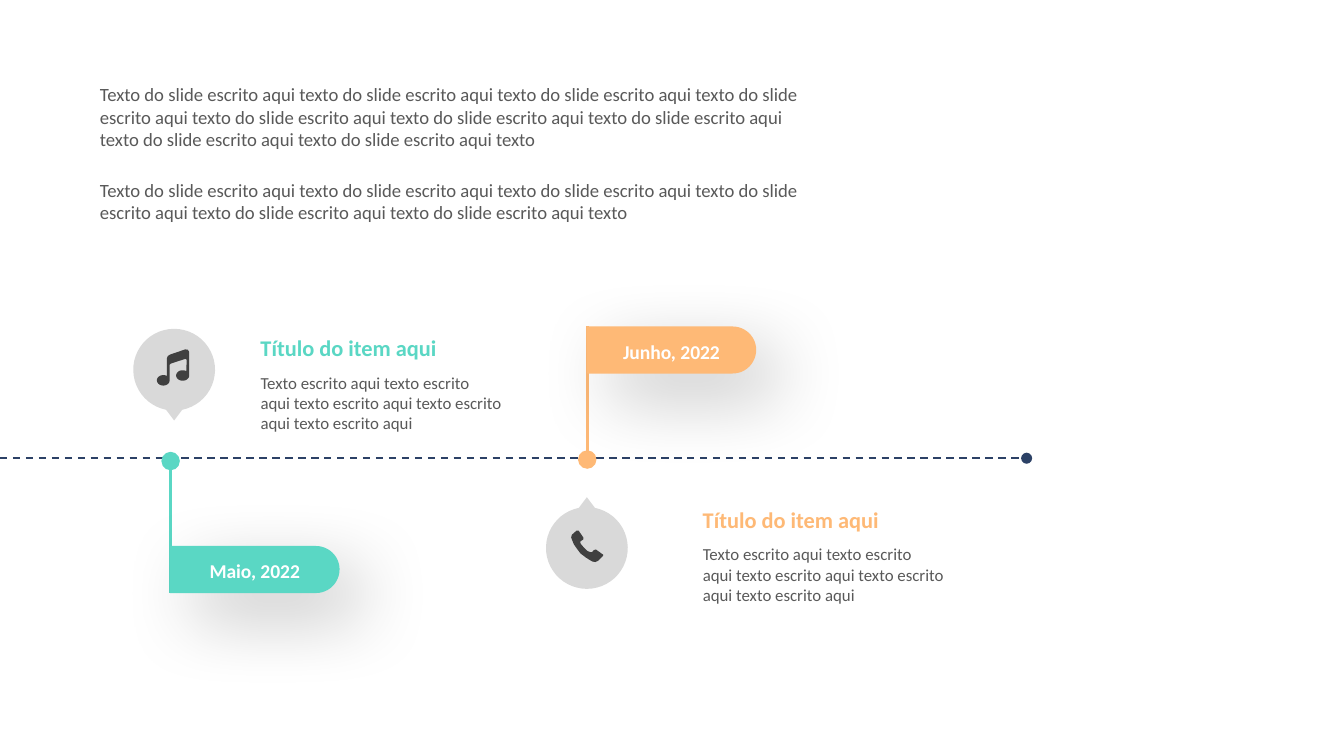
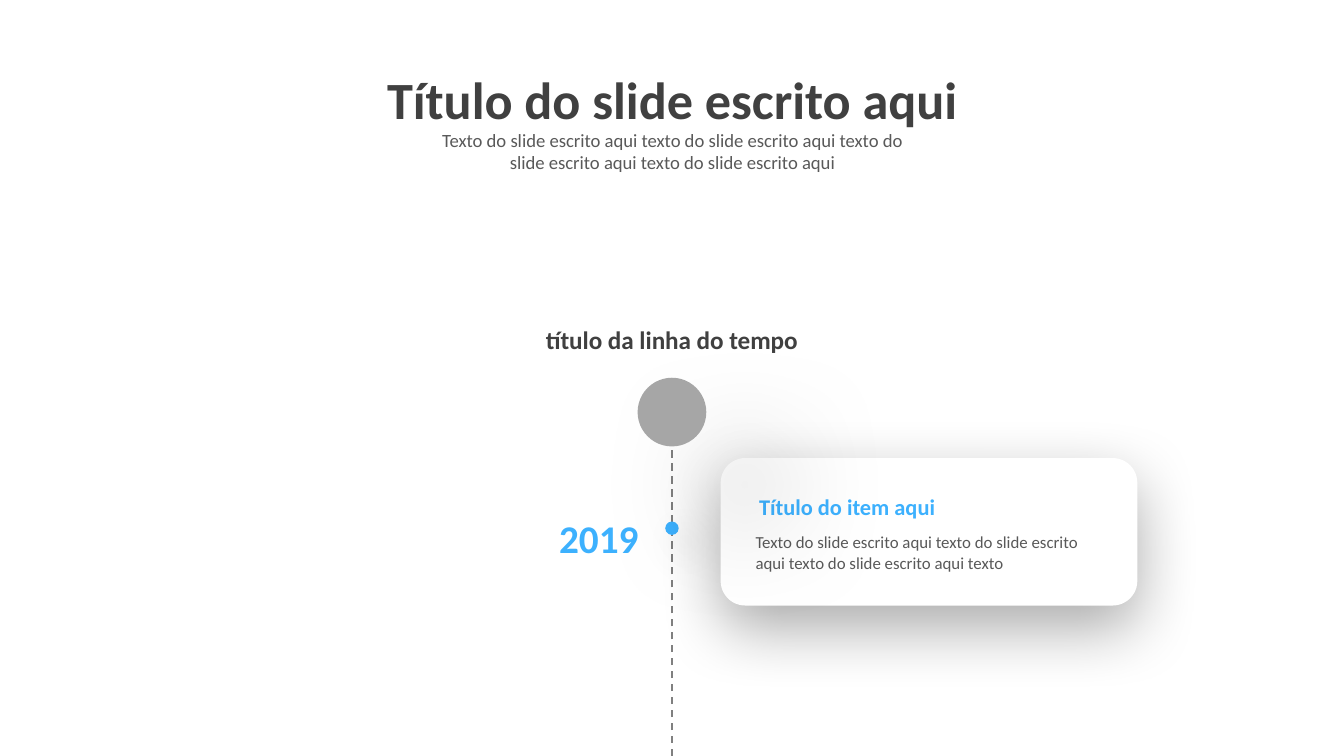
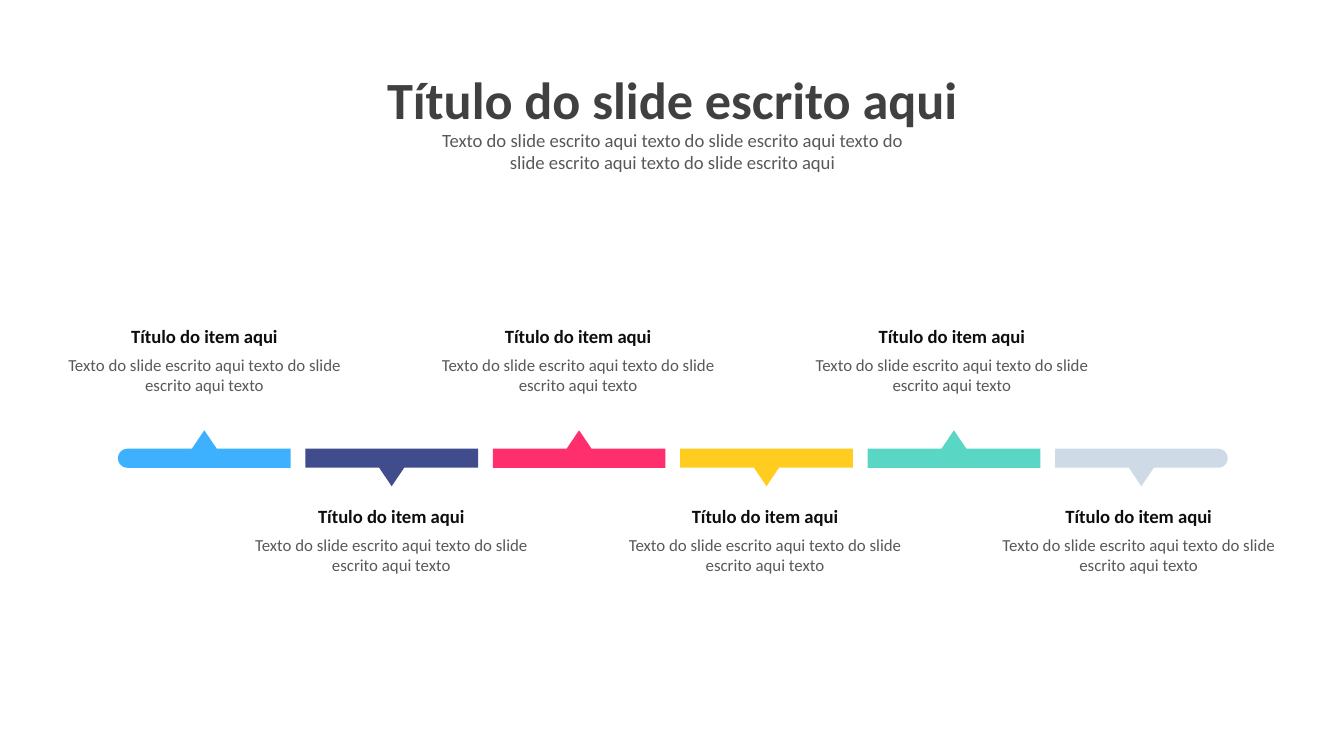
"""Build three timeline slides: dated milestones, a vertical year line and a segmented bar."""
from dataclasses import dataclass
from math import asin, cos, degrees, radians, sin
from typing import NamedTuple

from pptx import Presentation
from pptx.dml.color import RGBColor
from pptx.enum.dml import MSO_LINE
from pptx.enum.shapes import MSO_CONNECTOR, MSO_SHAPE
from pptx.enum.text import PP_ALIGN as Align
from pptx.oxml import parse_xml
from pptx.oxml.ns import nsdecls, qn
from pptx.shapes.autoshape import Shape
from pptx.slide import Slide
from pptx.util import Pt


@dataclass(frozen=True)
class Theme:
    font: str = "Calibri"
    white: str = "FFFFFF"
    heading: str = "404040"
    body: str = "595959"
    strong: str = "0D0D0D"
    axis: str = "2C4166"
    year_axis: str = "808080"
    year_knob: str = "A6A6A6"
    pin: str = "D9D9D9"
    teal: str = "5AD7C4"
    orange: str = "FEB976"
    blue: str = "3DB1FE"
    indigo: str = "414C8C"
    pink: str = "FF2F6E"
    yellow: str = "FFCC1F"
    mist: str = "CEDBE6"
    title_size: float = 28
    year_size: float = 21
    caption_size: float = 13.5
    item_size: float = 12
    date_size: float = 10.5
    body_size: float = 10
    small_size: float = 9


class Point(NamedTuple):
    x: float
    y: float


class Box(NamedTuple):
    left: float
    top: float
    width: float
    height: float


class Shadow(NamedTuple):
    opacity: int
    blur: float
    distance: float
    angle: int


class Milestone(NamedTuple):
    date: str
    color: str
    banner: Point
    pole_start: float
    dot: float
    pin: Point
    pin_side: int
    item: Point


class Segment(NamedTuple):
    color: str
    side: int
    round_left: bool = False
    round_right: bool = False


THEME = Theme()
TIGHT = (5, 2.9)
ITEM_TITLE = "Título do item aqui"
PHRASE = "texto do slide escrito aqui "

BANNER_WIDTH, BANNER_HEIGHT = 90.7, 25.2
BANNER_SHADOW = Shadow(23, 40, 18, 45)
PIN_RADIUS, PIN_REACH, PIN_HALF_NECK = 21.9, 27.2, 4.3
MILESTONES = (
    Milestone("Junho, 2022", THEME.orange, Point(314.4, 174.9), 174.9, 246.2,
              Point(314.4, 293.6), -1, Point(369.4, 267.8)),
    Milestone("Maio, 2022", THEME.teal, Point(91.2, 292.5), 317.5, 247,
              Point(93.3, 198.1), 1, Point(132.5, 175.7)),
)

SEGMENTS = (
    Segment(THEME.blue, -1, round_left=True),
    Segment(THEME.indigo, 1),
    Segment(THEME.pink, -1),
    Segment(THEME.yellow, 1),
    Segment(THEME.teal, -1),
    Segment(THEME.mist, 1, round_right=True),
)
SEGMENT_LEFT, SEGMENT_STEP, SEGMENT_WIDTH = 63.2, 100.4, 92.5
SEGMENT_TOP, SEGMENT_HEIGHT = 240.4, 10.2
LABEL_CENTER, LABEL_STEP = 109.5, 100.1


def phrases(count: int, ending: str = "") -> str:
    """Repeat the sample phrase as one sentence with an optional ending."""
    return (PHRASE * count + ending).strip().capitalize()


def arc(center: Point, rx: float, ry: float, start: float, end: float) -> list[Point]:
    """Return points along an elliptical arc, with angles in degrees clockwise from the right."""
    steps = 48
    angles = [radians(start + (end - start) * step / steps) for step in range(steps + 1)]
    return [Point(center.x + rx * cos(a), center.y + ry * sin(a)) for a in angles]


def paint(shape: Shape, color: str, shadow: Shadow | None = None) -> None:
    """Fill a shape without outline and give it only the stated shadow."""
    shape.fill.solid()
    shape.fill.fore_color.rgb = RGBColor.from_string(color)
    shape.line.fill.background()
    shape.shadow.inherit = False
    if shadow:
        effects = shape.element.spPr.find(qn("a:effectLst"))
        effects.append(parse_xml(
            f'<a:outerShdw {nsdecls("a")} blurRad="{Pt(shadow.blur)}" dist="{Pt(shadow.distance)}" '
            f'dir="{shadow.angle * 60000}" algn="ctr" rotWithShape="0"><a:srgbClr val="000000">'
            f'<a:alpha val="{shadow.opacity * 1000}"/></a:srgbClr></a:outerShdw>'))


def add_preset(slide: Slide, kind: MSO_SHAPE, box: Box, color: str,
               shadow: Shadow | None = None) -> Shape:
    """Draw a filled preset shape."""
    shape = slide.shapes.add_shape(kind, *map(Pt, box))
    paint(shape, color, shadow)
    return shape


def add_outline(slide: Slide, points: list[Point], color: str,
                origin: Point = Point(0, 0)) -> None:
    """Draw a closed filled outline, its points counted from the origin."""
    first, *others = [(Pt(origin.x + x), Pt(origin.y + y)) for x, y in points]
    builder = slide.shapes.build_freeform(*first)
    builder.add_line_segments(others, close=True)
    paint(builder.convert_to_shape(), color)


def add_line(slide: Slide, start: Point, end: Point, color: str, *, width: float = 1,
             dashed: bool = False, knob: str = "med") -> None:
    """Draw a straight line that ends in a round knob."""
    connector = slide.shapes.add_connector(MSO_CONNECTOR.STRAIGHT, *map(Pt, (*start, *end)))
    connector.line.color.rgb = RGBColor.from_string(color)
    connector.line.width = Pt(width)
    if dashed:
        connector.line.dash_style = MSO_LINE.DASH
    properties = connector.element.spPr
    properties.find(qn("a:ln")).append(
        parse_xml(f'<a:tailEnd {nsdecls("a")} type="oval" w="{knob}" len="{knob}"/>'))
    properties.append(parse_xml(f'<a:effectLst {nsdecls("a")}/>'))


def add_text(slide: Slide, box: Box, content: str, *, size: float, color: str = THEME.body,
             bold: bool = False, align: Align = Align.LEFT, spacing: float | None = None,
             inset: tuple[float, float] = (7.2, 3.6)) -> None:
    """Place one wrapped paragraph in a text box."""
    frame = slide.shapes.add_textbox(*map(Pt, box)).text_frame
    frame.word_wrap = True
    frame.margin_left = frame.margin_right = Pt(inset[0])
    frame.margin_top = frame.margin_bottom = Pt(inset[1])
    paragraph = frame.paragraphs[0]
    paragraph.alignment = align
    if spacing:
        paragraph.line_spacing = spacing
    run = paragraph.add_run()
    run.text = content
    run.font.name = THEME.font
    run.font.size = Pt(size)
    run.font.bold = bold
    run.font.color.rgb = RGBColor.from_string(color)


def add_heading(slide: Slide) -> None:
    """Add the centred slide title and its introduction."""
    add_text(slide, Box(140.8, 32.4, 438.5, 41.4), "Título do slide escrito aqui",
             size=THEME.title_size, color=THEME.heading, bold=True, align=Align.CENTER)
    add_text(slide, Box(223, 65.5, 274.3, 31.7), phrases(4),
             size=THEME.body_size, align=Align.CENTER)


def add_pin(slide: Slide, center: Point, side: int) -> None:
    """Draw a round pin whose tip points up (-1) or down (1)."""
    half_neck = degrees(asin(PIN_HALF_NECK / PIN_RADIUS))
    ring = arc(center, PIN_RADIUS, PIN_RADIUS, side * 90 + half_neck, side * 90 + 360 - half_neck)
    add_outline(slide, [Point(center.x, center.y + side * PIN_REACH), *ring], THEME.pin)


def add_milestone(slide: Slide, stone: Milestone) -> None:
    """Draw a date flag on its pole together with the item text."""
    left, top = stone.banner
    add_line(slide, Point(left + 0.2, stone.pole_start), Point(left + 0.2, stone.dot),
             stone.color, width=1.5, knob="lg")
    shift = (BANNER_WIDTH - BANNER_HEIGHT) / 2
    flag = add_preset(slide, MSO_SHAPE.ROUND_2_SAME_RECTANGLE,
                      Box(left + shift, top - shift, BANNER_HEIGHT, BANNER_WIDTH),
                      stone.color, BANNER_SHADOW)
    flag.rotation = 90
    flag.adjustments[0], flag.adjustments[1] = 0.5, 0
    add_text(slide, Box(left, top + 3.5, BANNER_WIDTH, 20.2), stone.date,
             size=THEME.date_size, color=THEME.white, bold=True, align=Align.CENTER)
    add_text(slide, Box(*stone.item, 117.4, 21.6), ITEM_TITLE,
             size=THEME.item_size, color=stone.color, bold=True)
    add_text(slide, Box(stone.item.x, stone.item.y + 20.2, 143.3, 33.8),
             ("texto escrito aqui " * 5).strip().capitalize(), size=THEME.small_size)


def add_music_icon(slide: Slide, origin: Point) -> None:
    """Draw a pair of beamed notes."""
    left_head = arc(Point(3.3, 16.6), 3.4, 2.8, -55, -360)
    right_head = arc(Point(13.7, 14), 3.5, 2.8, -55, -360)
    beam_top = [Point(15.1, 0), Point(7.2, 2.7), Point(5.8, 3.5), Point(5.3, 4.7)]
    beam_bottom = [Point(6.7, 8.2), Point(7.2, 7.7), Point(15.1, 5.1), Point(15.8, 5.5)]
    add_outline(slide, [*beam_top, *left_head, *beam_bottom, *right_head,
                        Point(17.2, 1.4), Point(16.5, 0.2)], THEME.heading, origin)


def add_phone_icon(slide: Slide, origin: Point) -> None:
    """Draw a telephone handset."""
    handset = (
        (17.3, 13), (16.9, 13.7), (14.4, 16.2), (13, 16.8), (11.5, 16.6), (10.1, 15.8),
        (7.9, 14.4), (5, 12.2), (2.9, 9.4), (1.4, 7.2), (0.4, 4.7), (0, 3.6), (0.4, 2.2),
        (2.9, 0), (4, 0), (6.5, 3.6), (6.5, 4.7), (5, 5.8), (5, 6.8), (5.8, 7.9),
        (7.2, 9.4), (8.6, 10.8), (10.1, 11.5), (11.2, 11.5), (12.2, 10.4), (13.3, 10.1),
    )
    add_outline(slide, [Point(*corner) for corner in handset], THEME.heading, origin)


def add_segment(slide: Slide, index: int, segment: Segment) -> None:
    """Draw one bar of the segmented line with its pointer and label."""
    left, top = SEGMENT_LEFT + index * SEGMENT_STEP, SEGMENT_TOP
    right, bottom = left + SEGMENT_WIDTH, top + SEGMENT_HEIGHT
    middle, radius = (left + right) / 2, SEGMENT_HEIGHT / 2
    edge = top if segment.side < 0 else bottom
    pointer = [Point(middle + segment.side * 6.7, edge),
               Point(middle, edge + segment.side * 9.9),
               Point(middle - segment.side * 6.7, edge)]
    left_end = [Point(left, bottom), Point(left, top)]
    right_end = [Point(right, top), Point(right, bottom)]
    if segment.round_left:
        left_end = arc(Point(left + radius, top + radius), radius, radius, 90, 270)
    if segment.round_right:
        right_end = arc(Point(right - radius, top + radius), radius, radius, -90, 90)
    sides = (left_end, pointer, right_end) if segment.side < 0 else (left_end, right_end, pointer)
    add_outline(slide, [point for side in sides for point in side], segment.color)

    center = LABEL_CENTER + index * LABEL_STEP
    label_top = 170.6 if segment.side < 0 else 267.1
    add_text(slide, Box(center - 83.2, label_top + 15.8, 166.3, 28.8), phrases(2, "texto"),
             size=THEME.small_size, align=Align.CENTER)
    add_text(slide, Box(center - 52.9, label_top, 105.8, 16.6), ITEM_TITLE,
             size=THEME.body_size, color=THEME.strong, bold=True, align=Align.CENTER)


def build_milestones(slide: Slide) -> None:
    """Build the horizontal timeline with two dated flags."""
    for stone in MILESTONES:
        add_pin(slide, stone.pin, stone.pin_side)
    add_line(slide, Point(0, 245.5), Point(550, 245.5), THEME.axis, dashed=True)
    for stone in MILESTONES:
        add_milestone(slide, stone)
    add_music_icon(slide, Point(84.2, 187.2))
    add_phone_icon(slide, Point(306, 284.3))
    for top, height, count in ((41, 43.9, 9), (92.2, 31.7, 6)):
        add_text(slide, Box(46.5, top, 388.8, height), phrases(count, "texto"),
                 size=THEME.body_size)


def build_year_line(slide: Slide) -> None:
    """Build the vertical timeline with one year and its card."""
    add_line(slide, Point(360, 405), Point(360, 217.4), THEME.year_axis, dashed=True)
    add_text(slide, Box(246.2, 164.2, 227.5, 26.6), "título da linha do tempo",
             size=THEME.caption_size, color=THEME.heading, bold=True, align=Align.CENTER,
             spacing=1.4, inset=TIGHT)
    add_preset(slide, MSO_SHAPE.OVAL, Box(356.4, 279.4, 7.2, 7.2), THEME.blue,
               Shadow(23, 20, 10, 45))
    add_preset(slide, MSO_SHAPE.ROUNDED_RECTANGLE, Box(386.1, 245.4, 223.2, 79), THEME.white,
               Shadow(32, 35, 12, 90))
    add_text(slide, Box(399.8, 282.2, 196.6, 27.4), phrases(3, "texto"),
             size=THEME.small_size, inset=TIGHT)
    add_text(slide, Box(399.6, 254.9, 196.6, 25.9), ITEM_TITLE,
             size=THEME.item_size, color=THEME.blue, bold=True, spacing=1.4)
    add_text(slide, Box(258.5, 262.8, 88.6, 38.9), "2019", size=THEME.year_size,
             color=THEME.blue, bold=True, align=Align.RIGHT, spacing=1.4, inset=TIGHT)
    add_preset(slide, MSO_SHAPE.OVAL, Box(341.6, 202.4, 36.8, 36.8), THEME.year_knob,
               Shadow(25, 63, 55, 45))
    add_heading(slide)


def build_segments(slide: Slide) -> None:
    """Build the six-part bar with alternating labels."""
    for index, segment in enumerate(SEGMENTS):
        add_segment(slide, index, segment)
    add_heading(slide)


def main() -> None:
    """Create the presentation and save it."""
    deck = Presentation()
    deck.slide_width, deck.slide_height = Pt(720), Pt(405)
    for build in (build_milestones, build_year_line, build_segments):
        build(deck.slides.add_slide(deck.slide_layouts[6]))
    deck.save("out.pptx")


if __name__ == "__main__":
    main()
